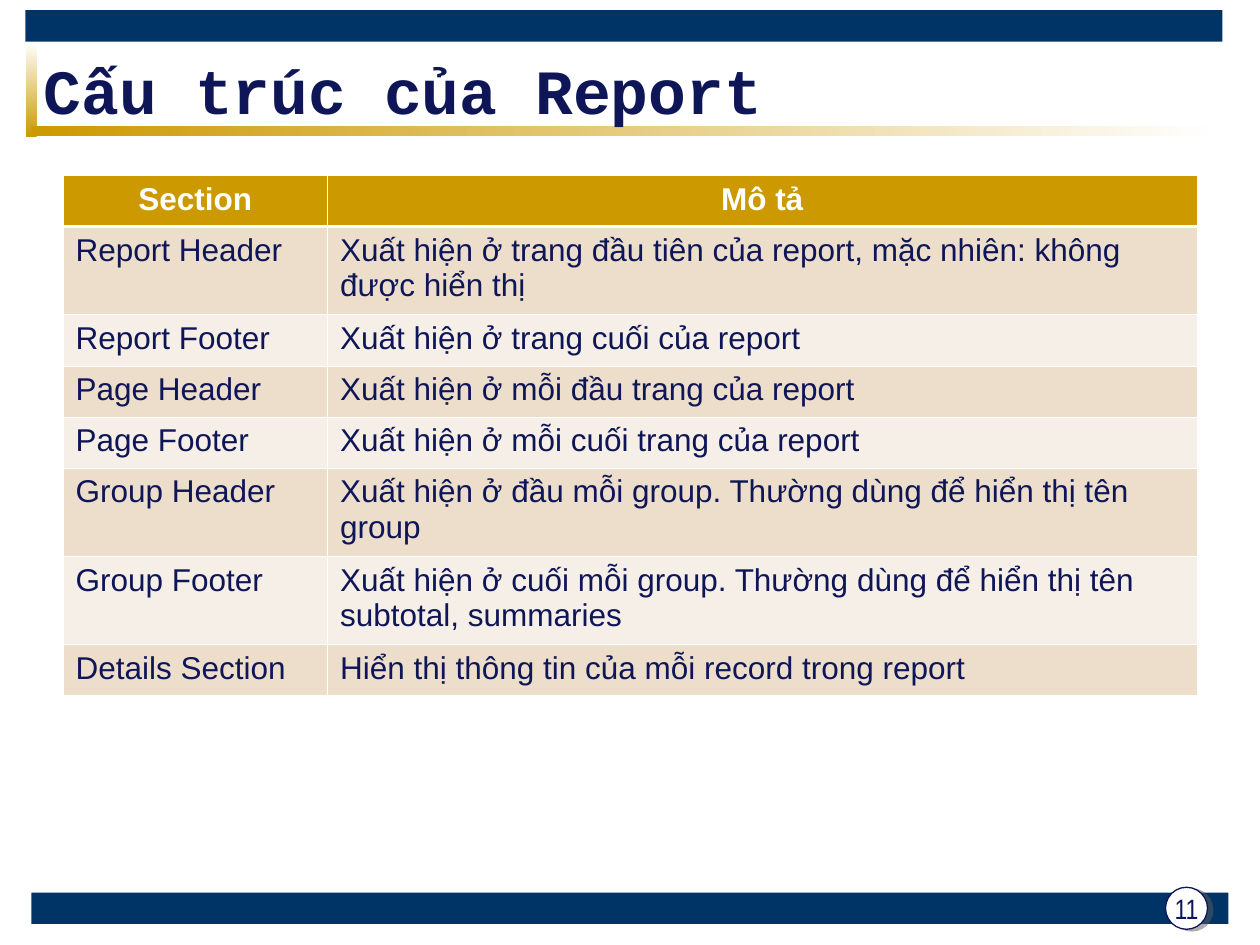
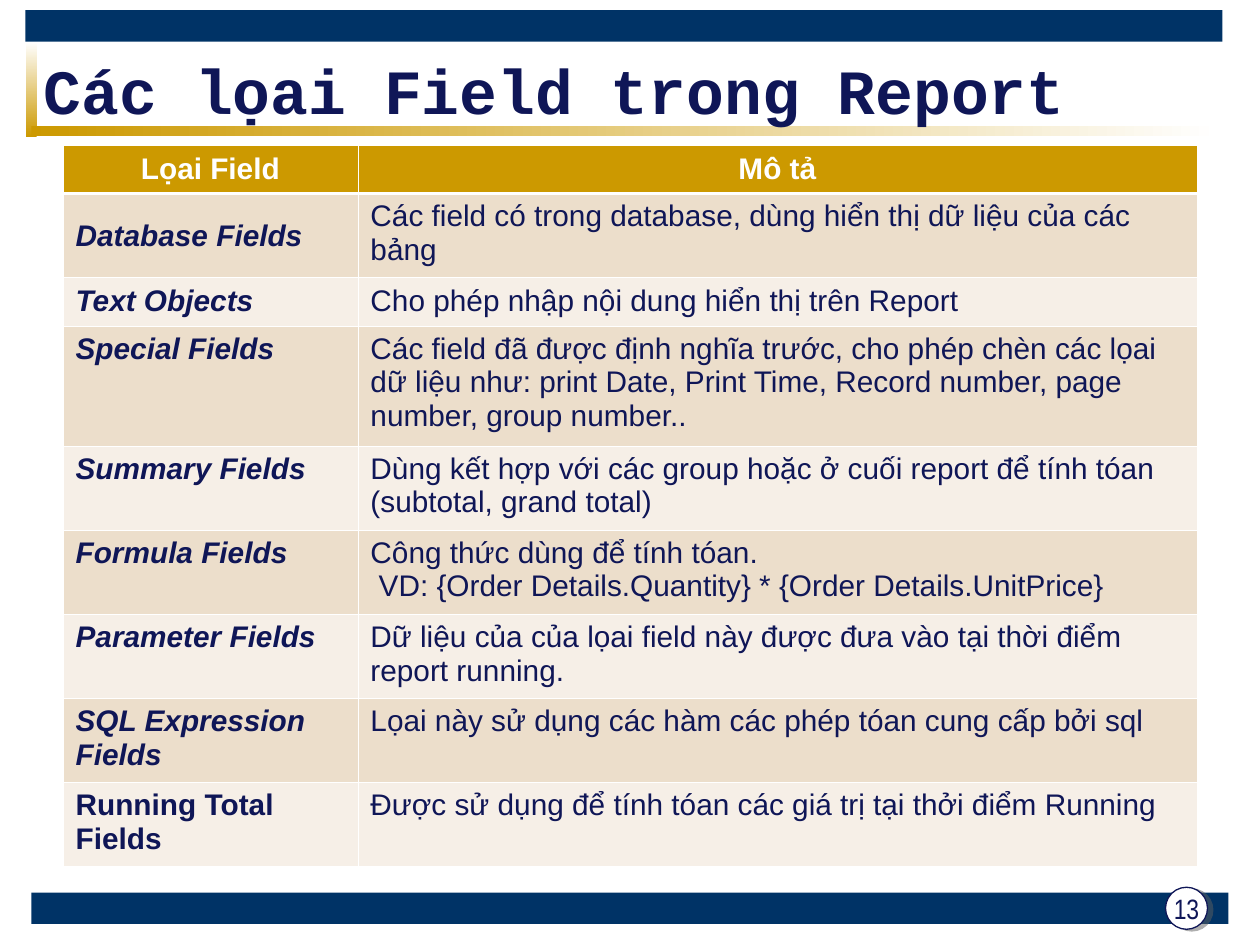
import pptx
import pptx.util
import pptx.dml.color
import pptx.enum.shapes
import pptx.enum.text
import pptx.oxml
import pptx.oxml.ns

Pt = pptx.util.Pt
SHAPE = pptx.enum.shapes.MSO_SHAPE
ALIGN = pptx.enum.text.PP_ALIGN
ANCHOR = pptx.enum.text.MSO_ANCHOR

WHITE, NAVY, GOLD, INK = "FFFFFF", "003366", "CC9900", "0F1657"
BANDS = ("ECDECB", "F6EFE7")
THIN, THICK = 0.45, 1.47


def colour(code):
    return pptx.dml.color.RGBColor.from_string(code)


def append_xml(parent, text, index=None):
    element = pptx.oxml.parse_xml(text.replace(" ", f" {pptx.oxml.ns.nsdecls('a')} ", 1))
    parent.insert(len(parent) if index is None else index, element)


def add_block(page, kind, box, fill):
    shape = page.shapes.add_shape(kind, *map(Pt, box))
    shape.shadow.inherit = False
    shape.fill.solid()
    shape.fill.fore_color.rgb = colour(fill)
    shape.line.fill.background()
    return shape


def add_fade(page, box, start, end, angle):
    """Bar whose fill runs from start to end; angle is counter-clockwise."""
    bar = add_block(page, SHAPE.RECTANGLE, box, start)
    bar.fill.gradient()
    bar.fill.gradient_angle = angle
    for stop, code in zip(bar.fill.gradient_stops, (start, end)):
        stop.color.rgb = colour(code)


def style_paragraph(para, font, size, code, bold=False, italic=False, align=ALIGN.LEFT):
    para.alignment = align
    para.font.name = font
    para.font.size = Pt(size)
    para.font.bold = bold
    para.font.italic = italic
    para.font.color.rgb = colour(code)


def add_text(page, box, text, **style):
    frame = page.shapes.add_textbox(*map(Pt, box)).text_frame
    frame.word_wrap = True
    frame.vertical_anchor = ANCHOR.MIDDLE
    frame.text = text
    style_paragraph(frame.paragraphs[0], **style)


def add_page_number(page, box, number):
    left, top, size = box
    disc = add_block(page, SHAPE.OVAL, (left, top, size, size), WHITE)
    disc.line.color.rgb = colour(INK)
    disc.line.width = Pt(0.74)
    # Short half-transparent shadow to the lower right
    effects = disc._element.spPr.find(pptx.oxml.ns.qn("a:effectLst"))
    append_xml(effects, f'<a:outerShdw dist="{Pt(3.2)}" dir="1080000">'
               '<a:srgbClr val="5F5F5F"><a:alpha val="50000"/></a:srgbClr></a:outerShdw>')
    margin = 4
    label = (left - margin, top - margin, size + 2 * margin, size + 2 * margin)
    add_text(page, label, str(number), font="Arial Narrow", size=16, code=INK,
             align=ALIGN.CENTER)


def add_frame(page, title, number):
    """Bands, title with its fading rules, and page number."""
    add_block(page, SHAPE.RECTANGLE, (18, 510, 684, 18), NAVY)
    add_block(page, SHAPE.RECTANGLE, (14.5, 5.75, 684, 18), NAVY)
    add_fade(page, (15, 24, 6, 54), WHITE, GOLD, 270)
    add_fade(page, (18, 72, 678, 6), GOLD, WHITE, 0)
    add_text(page, (18, 30, 648, 42), title, font="Courier New", size=36, code=INK, bold=True)
    add_page_number(page, (666, 507, 24), number)


def style_cell(cell, fill, top, bottom):
    cell.fill.solid()
    cell.fill.fore_color.rgb = colour(fill)
    properties = cell._tc.get_or_add_tcPr()
    for index, (side, width) in enumerate(
            (("L", THIN), ("R", THIN), ("T", top), ("B", bottom))):
        append_xml(properties, f'<a:ln{side} w="{Pt(width)}"><a:solidFill>'
                   f'<a:srgbClr val="{WHITE}"/></a:solidFill></a:ln{side}>', index)


def add_grid(page, box, first_width, size, heights, header, rows, term_style, middle_rows=()):
    """Two-column table; heights maps a row's line count to its height.

    Each row is (line count, term, description); term_style gives the
    bold and italic of a row's term.
    """
    left, top, width = box
    records = [(1, *header), *rows]
    row_heights = [heights[lines] for lines, *_ in records]
    grid = page.shapes.add_table(len(records), 2, *map(Pt, (left, top, width, sum(row_heights)))).table
    for column, span in zip(grid.columns, (first_width, width - first_width)):
        column.width = Pt(span)
    for r, (lines, *texts) in enumerate(records):
        grid.rows[r].height = Pt(row_heights[r])
        for c, text in enumerate(texts):
            cell = grid.cell(r, c)
            cell.text = text
            if (r, c) in middle_rows:
                cell.vertical_anchor = ANCHOR.MIDDLE
            style_cell(cell, BANDS[(r - 1) % 2] if r else GOLD,
                       THICK if r == 1 else THIN, THIN if r else THICK)
            if r == 0:
                look = dict(code=WHITE, bold=True, align=ALIGN.CENTER)
            else:
                bold, italic = term_style(text) if c == 0 else (False, False)
                look = dict(code=INK, bold=bold, italic=italic)
            for para in cell.text_frame.paragraphs:
                style_paragraph(para, "Arial", size, **look)


def build_sections(page):
    add_frame(page, "Cấu trúc của Report", 11)
    rows = [
        (2, "Report Header", "Xuất hiện ở trang đầu tiên của report, mặc nhiên: không được hiển thị"),
        (1, "Report Footer", "Xuất hiện ở trang cuối của report"),
        (1, "Page Header", "Xuất hiện ở mỗi đầu trang của report"),
        (1, "Page Footer", "Xuất hiện ở mỗi cuối trang của report"),
        (2, "Group Header", "Xuất hiện ở đầu mỗi group. Thường dùng để hiển thị tên group"),
        (2, "Group Footer", "Xuất hiện ở cuối mỗi group. Thường dùng để hiển thị tên subtotal, summaries"),
        (1, "Details Section", "Hiển thị thông tin của mỗi record trong report"),
    ]
    add_grid(page, (36, 100.25, 648), 151.2, 18, {1: 29.2, 2: 50.4},
             ("Section", "Mô tả"), rows, lambda term: (False, False))


def build_fields(page):
    add_frame(page, "Các lọai Field trong Report", 13)
    rows = [
        (2, "Database Fields", "Các field có trong database, dùng hiển thị dữ liệu của các bảng"),
        (1, "Text Objects", "Cho phép nhập nội dung hiển thị trên Report"),
        (3, "Special Fields", "Các field đã được định nghĩa trước, cho phép chèn các lọai dữ liệu như: "
         "print Date, Print Time, Record number, page number, group number.."),
        (2, "Summary Fields", "Dùng kết hợp với các group hoặc ở cuối report để tính tóan "
         "(subtotal, grand total)"),
        (2, "Formula Fields", "Công thức dùng để tính tóan.\n"
         " VD: {Order Details.Quantity} * {Order Details.UnitPrice}"),
        (2, "Parameter Fields", "Dữ liệu của của lọai field này được đưa vào tại thời điểm report running."),
        (2, "SQL Expression Fields", "Lọai này sử dụng các hàm các phép tóan cung cấp bởi sql"),
        (2, "Running Total Fields", "Được sử dụng để tính tóan các giá trị tại thởi điểm Running"),
    ]
    add_grid(page, (36, 83, 648), 168.5, 17, {1: 27.4, 2: 48, 3: 68.6},
             ("Lọai Field", "Mô tả"), rows,
             lambda term: (True, term != "Running Total Fields"),
             middle_rows=((0, 0), (0, 1), (1, 0)))


deck = pptx.Presentation()
deck.slide_width, deck.slide_height = Pt(720), Pt(540)
for build in (build_sections, build_fields):
    build(deck.slides.add_slide(deck.slide_layouts[6]))
deck.save("out.pptx")
